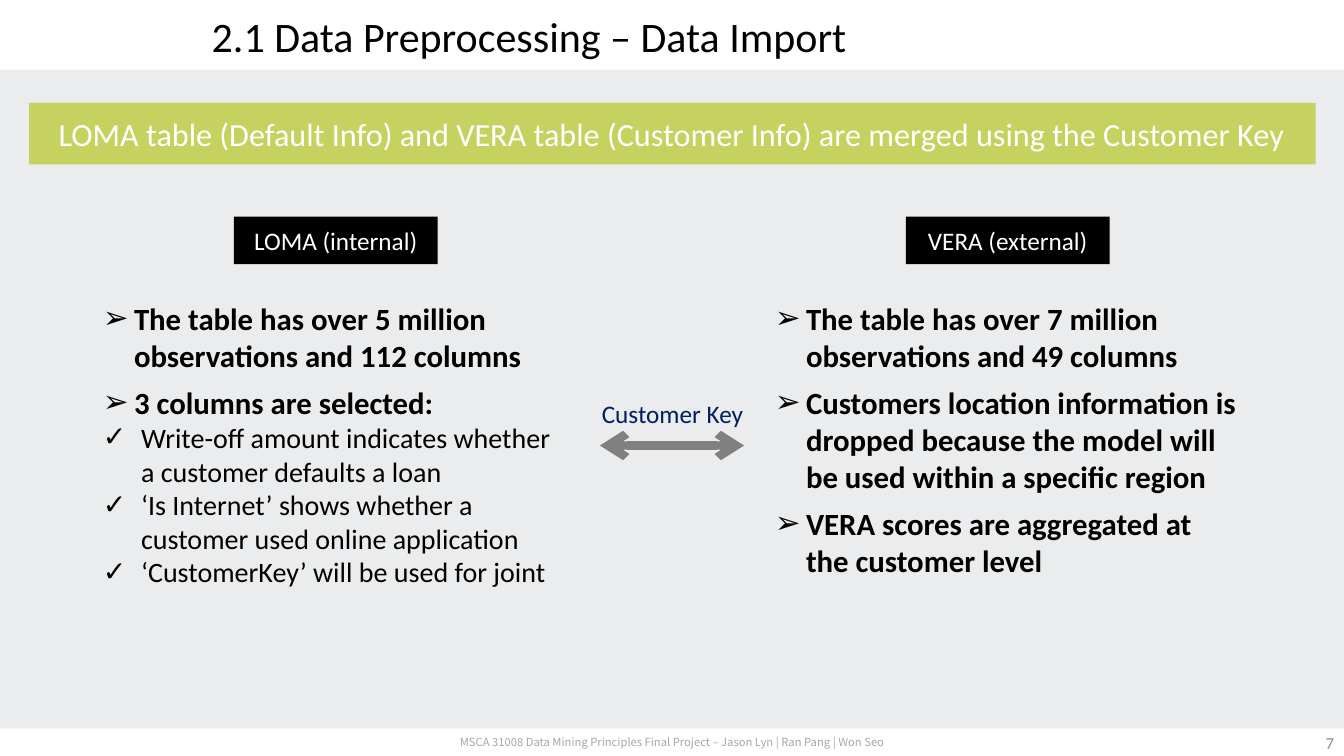
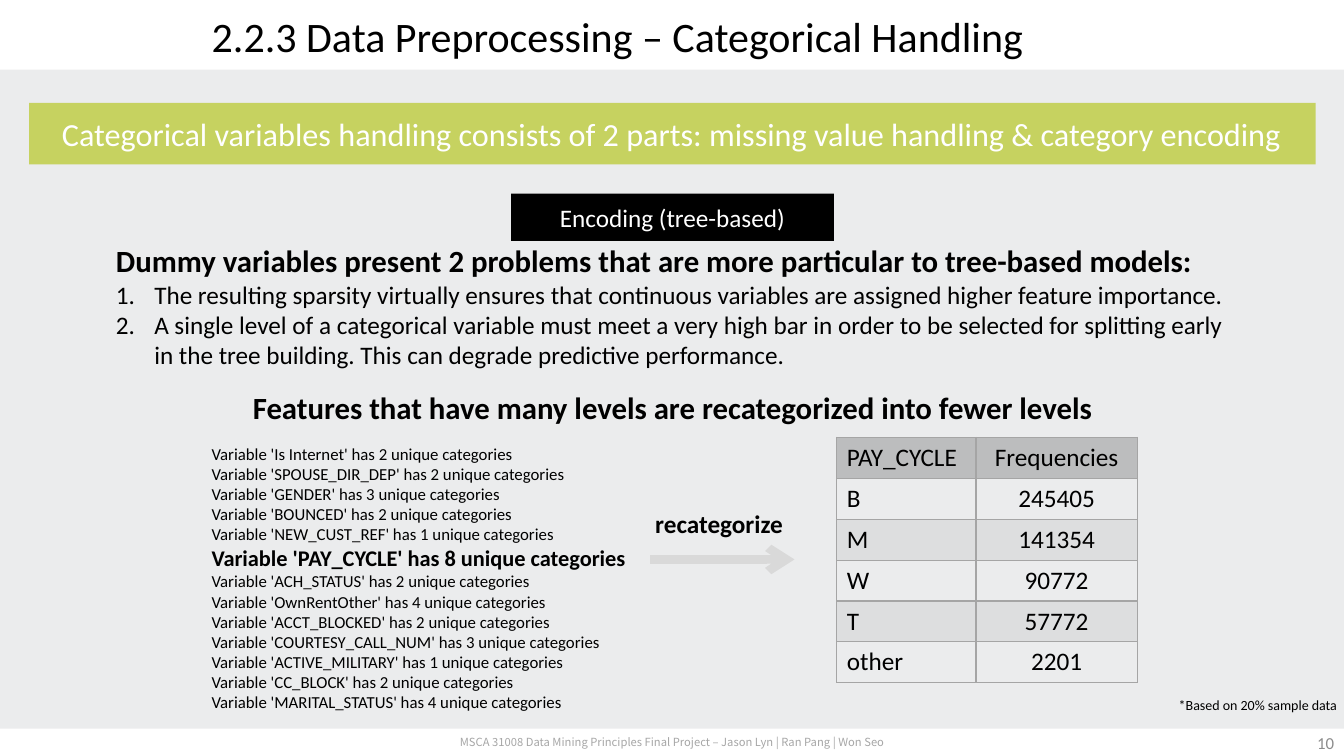
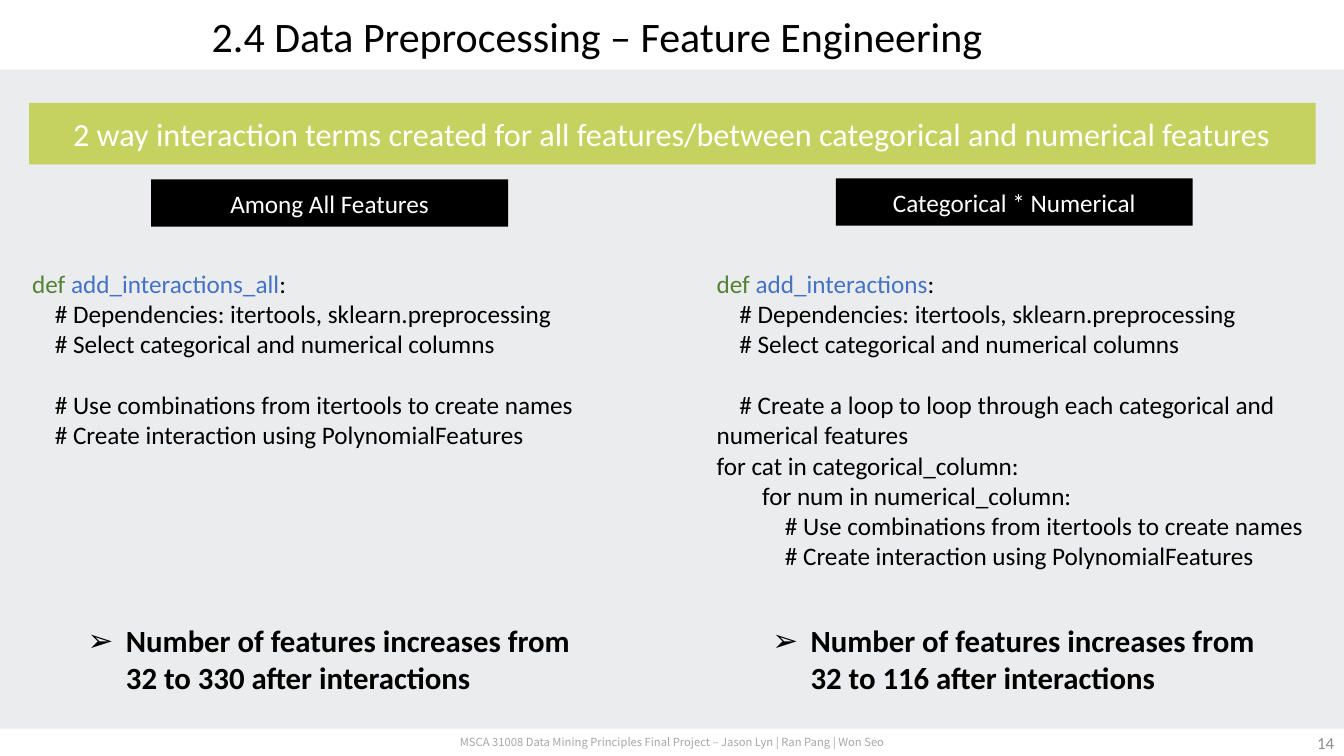
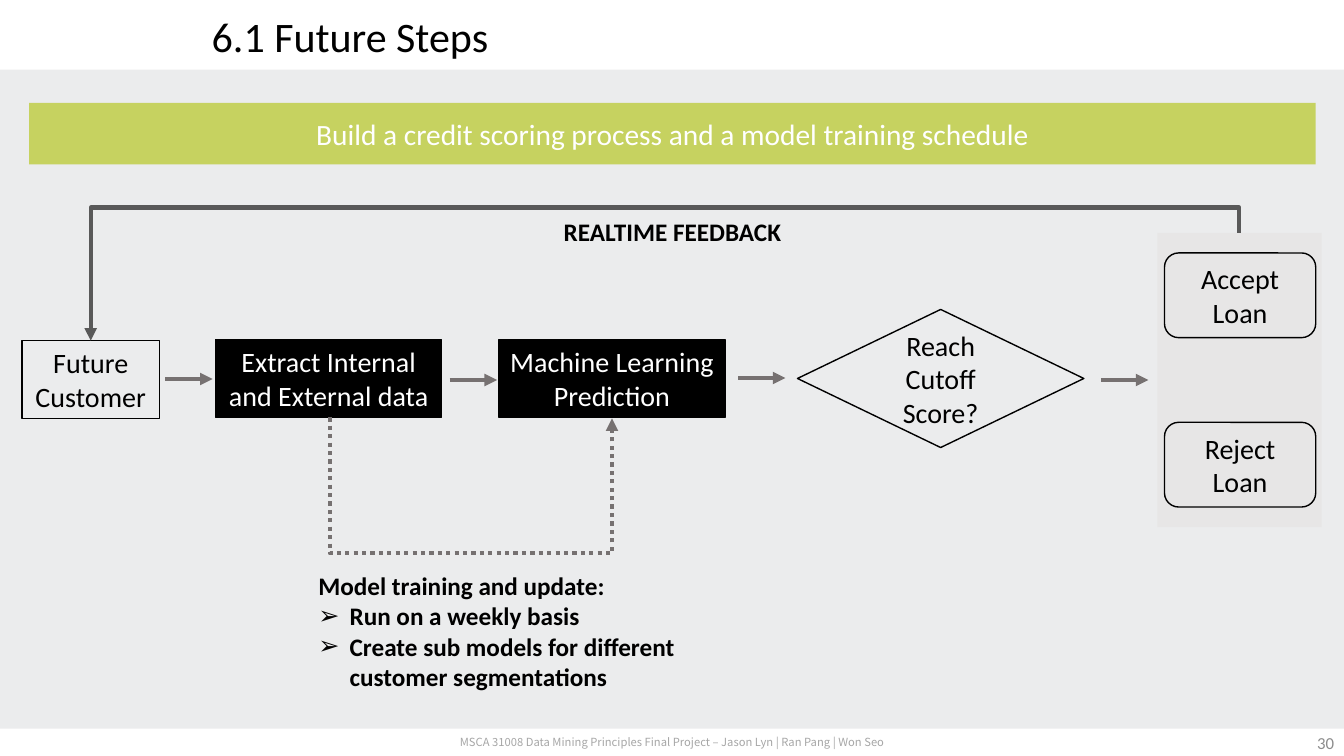
from dataclasses import dataclass

from lxml.etree import SubElement
from pptx import Presentation
from pptx.dml.color import RGBColor
from pptx.enum.shapes import MSO_CONNECTOR as Link, MSO_SHAPE as Form
from pptx.enum.dml import MSO_LINE as Dash
from pptx.enum.text import MSO_ANCHOR as Anchor, MSO_AUTO_SIZE as AutoSize, PP_ALIGN as Align
from pptx.oxml.ns import qn
from pptx.util import Inches, Pt

WIDTH, HEIGHT = 13.33, 7.5
HALF = WIDTH / 2


@dataclass(frozen=True)
class Theme:
    font: str = "Calibri"
    footer_font: str = "Noto Sans CJK SC"
    page: str = "EBECED"
    white: str = "FFFFFF"
    black: str = "000000"
    banner: str = "C6D260"
    panel: str = "E7E6E6"
    navy: str = "002060"
    keyword: str = "548235"
    function: str = "4472C4"
    footer: str = "A6A6A6"
    number: str = "8C8C8C"
    key_arrow: str = "808080"
    pale_arrow: str = "D9D9D9"
    flow_arrow: str = "767171"
    feedback: str = "595959"
    grid: str = "A5A5A5"
    table_head: str = "BCBDBE"
    table_band: str = "DDDEDF"
    title_size: int = 30
    banner_size: int = 23
    head_size: int = 22
    step_size: int = 20
    body_size: int = 18
    strong_size: int = 16
    small_size: int = 12
    note_size: int = 10
    footer_size: int = 8


T = Theme()
TIGHT = (0.07, 0.07)
PLAIN = (0.1, 0.05)


@dataclass
class Para:
    runs: object
    size: int = T.body_size
    bold: bool = False
    color: str = T.black
    align: object = Align.LEFT
    bullet: str = ""
    indent: float = 0
    before: float = 0
    font: str = T.font


def point(words, before=0, size=T.head_size, indent=0.31):
    return Para(words, size, True, bullet="➢", indent=indent, before=before)


def check(words):
    return Para(words, T.step_size, bullet="✓", indent=0.38)


def numbered(words):
    return Para(words, bullet="1.", indent=0.38)


FOOTER = "MSCA 31008 Data Mining Principles Final Project – Jason Lyn | Ran Pang | Won Seo"

SOURCES = [
    ("LOMA (internal)", [
        point("The table has over 5 million observations and 112 columns"),
        point("3 columns are selected:", 7.3),
        check("Write-off amount indicates whether a customer defaults a loan"),
        check("‘Is Internet’ shows whether a customer used online application"),
        check("‘CustomerKey’ will be used for joint")]),
    ("VERA (external)", [
        point("The table has over 7 million observations and 49 columns"),
        point("Customers location information is dropped because the model will "
              "be used within a specific region", 7.3),
        point("VERA scores are aggregated at the customer level", 7.3)]),
]

PROBLEMS = [
    Para("Dummy variables present 2 problems that are more particular to tree-based models:",
         T.head_size, True),
    numbered("The resulting sparsity virtually ensures that continuous variables are "
             "assigned higher feature importance."),
    numbered("A single level of a categorical variable must meet a very high bar in order "
             "to be selected for splitting early in the tree building. "
             "This can degrade predictive performance."),
]
RECATEGORIZED = "PAY_CYCLE"
LEVELS = [("Is Internet", 2), ("SPOUSE_DIR_DEP", 2), ("GENDER", 3), ("BOUNCED", 2),
          ("NEW_CUST_REF", 1), (RECATEGORIZED, 8), ("ACH_STATUS", 2), ("OwnRentOther", 4),
          ("ACCT_BLOCKED", 2), ("COURTESY_CALL_NUM", 3), ("ACTIVE_MILITARY", 1),
          ("CC_BLOCK", 2), ("MARITAL_STATUS", 4)]
FREQUENCIES = [("PAY_CYCLE", "Frequencies"), ("B", "245405"), ("M", "141354"),
               ("W", "90772"), ("T", "57772"), ("other", "2201")]

SETUP = ["    # Dependencies: itertools, sklearn.preprocessing",
         "    # Select categorical and numerical columns"]
INTERACTIONS = [
    ("Among All Features", "add_interactions_all", 330, [
        "    # Use combinations from itertools to create names",
        "    # Create interaction using PolynomialFeatures"]),
    ("Categorical * Numerical", "add_interactions", 116, [
        "    # Create a loop to loop through each categorical and numerical features",
        "for cat in categorical_column:",
        "        for num in numerical_column:",
        "            # Use combinations from itertools to create names",
        "            # Create interaction using PolynomialFeatures"]),
]

STEPS = [
    ("Future Customer", Form.RECTANGLE, (0.22, 3.38, 1.36, 0.77), None),
    ("Extract Internal and External data", Form.RECTANGLE, (2.14, 3.37, 2.24, 0.77), T.black),
    ("Machine Learning Prediction", Form.RECTANGLE, (4.95, 3.37, 2.24, 0.77), T.black),
    ("Reach Cutoff Score?", Form.DIAMOND, (7.91, 3.07, 2.84, 1.37), None),
]
OUTCOMES = ["Accept", "Reject"]
FLOW_ARROWS = [(1.64, 3.76), (4.46, 3.77), (7.32, 3.75), (10.92, 3.77)]
TRAINING = [
    Para("Model training and update:", bold=True),
    point("Run on a weekly basis", size=T.body_size),
    point("Create sub models for different customer segmentations", size=T.body_size),
]


def rgb(color):
    return RGBColor.from_string(color)


def box(at):
    return [Inches(length) for length in at]


def add_bullet(paragraph, para):
    props = paragraph._p.get_or_add_pPr()
    props.set("marL", str(Inches(para.indent)))
    props.set("indent", str(-Inches(para.indent)))
    if para.bullet == "1.":
        SubElement(props, qn("a:buAutoNum"), type="arabicPeriod")
    else:
        SubElement(props, qn("a:buFont"), typeface="Arial")
        SubElement(props, qn("a:buChar"), char=para.bullet)


def write(frame, paras, inset=PLAIN, anchor=Anchor.TOP, wrap=True):
    frame.word_wrap = wrap
    frame.auto_size = AutoSize.NONE
    frame.vertical_anchor = anchor
    frame.margin_left = frame.margin_right = Inches(inset[0])
    frame.margin_top = frame.margin_bottom = Inches(inset[1])
    for index, para in enumerate(paras):
        paragraph = frame.add_paragraph() if index else frame.paragraphs[0]
        paragraph.alignment = para.align
        if para.bullet:
            add_bullet(paragraph, para)
        if para.before:
            paragraph.space_before = Pt(para.before)
        font = paragraph.font
        font.name, font.size, font.bold = para.font, Pt(para.size), para.bold
        font.color.rgb = rgb(para.color)
        runs = [(para.runs, None)] if isinstance(para.runs, str) else para.runs
        for words, color in runs:
            run = paragraph.add_run()
            run.text = words
            if color:
                run.font.color.rgb = rgb(color)


def add_text(slide, at, paras, **options):
    label = slide.shapes.add_textbox(*box(at))
    write(label.text_frame, paras, **options)
    return label


def add_block(slide, at, fill=None, line=None, paras=(), form=Form.RECTANGLE, inset=PLAIN):
    block = slide.shapes.add_shape(form, *box(at))
    block.shadow.inherit = False
    if fill:
        block.fill.solid()
        block.fill.fore_color.rgb = rgb(fill)
    else:
        block.fill.background()
    if line:
        block.line.color.rgb = rgb(line)
        block.line.width = Pt(1)
    else:
        block.line.fill.background()
    write(block.text_frame, paras, inset, Anchor.MIDDLE)
    return block


def add_tag(slide, at, words):
    tag = Para(words, color=T.white, align=Align.CENTER)
    add_block(slide, at, T.black, paras=[tag], inset=(0, 0))


def style_line(link, color, width, head=None, tail=None, dash=None):
    link.line.color.rgb = rgb(color)
    link.line.width = Pt(width)
    if dash:
        link.line.dash_style = dash
    outline = link.line._get_or_add_ln()
    for end, kind in (("a:headEnd", head), ("a:tailEnd", tail)):
        if kind:
            SubElement(outline, qn(end), type=kind)
    SubElement(link.element.spPr, qn("a:effectLst"))


def add_arrow(slide, start, length, color, width, **ends):
    x, y = start
    link = slide.shapes.add_connector(Link.STRAIGHT, *box((x, y, x + length, y)))
    style_line(link, color, width, **ends)


def add_detour(slide, start, end, via, color, dash=None):
    (x1, y1), (x2, y2) = start, end
    rise, run = y2 - y1, abs(x2 - x1)
    left, top = (x1 + x2 - rise) / 2, (y1 + y2 - run) / 2
    link = slide.shapes.add_connector(Link.ELBOW, *box((left, top, left + rise, top + run)))
    frame = link.element.spPr.find(qn("a:xfrm"))
    frame.set("rot", str(270 * 60000))
    frame.set("flipH", "1")
    if x2 < x1:
        frame.set("flipV", "1")
    guides = link.element.spPr.find(qn("a:prstGeom")).find(qn("a:avLst"))
    share = round((via - y1) / rise * 100000)
    SubElement(guides, qn("a:gd"), name="adj1", fmla=f"val {share}")
    style_line(link, color, 3, tail="triangle", dash=dash)


def dress_layout(layout, slide):
    for holder in list(layout.placeholders)[1:]:
        holder.element.getparent().remove(holder.element)
    line = Para(FOOTER, T.footer_size, color=T.footer, align=Align.CENTER, font=T.footer_font)
    shared = [add_block(slide, (0, 0, WIDTH, 0.69), T.white),
              add_block(slide, (0, 7.23, WIDTH, 0.27), T.white),
              add_text(slide, (3.42, 7.23, 6.5, 0.27), [line],
                       inset=TIGHT, anchor=Anchor.MIDDLE)]
    for part in shared:
        layout.shapes.element.append(part.element)


def start_slide(deck, title, banner, number, banner_size=T.banner_size):
    layout = deck.slide_layouts[5]
    slide = deck.slides.add_slide(layout)
    if len(deck.slides) == 1:
        dress_layout(layout, slide)
    heading = slide.shapes.title
    heading.left, heading.top, heading.width, heading.height = box((0, 0, WIDTH, 0.7))
    write(heading.text_frame, [Para(title, T.title_size)], anchor=Anchor.MIDDLE)
    heading.text_frame.margin_left = Inches(2.1)
    message = Para(banner, banner_size, color=T.white, align=Align.CENTER)
    add_block(slide, (0.29, 1.02, 12.76, 0.61), T.banner, paras=[message])
    page = Para(number, T.small_size, color=T.number, align=Align.RIGHT)
    add_text(slide, (WIDTH - 3, 7.17, 3, 0.4), [page], anchor=Anchor.MIDDLE)
    return slide


def build_import(deck):
    slide = start_slide(
        deck, "2.1 Data Preprocessing – Data Import",
        "LOMA table (Default Info) and VERA table (Customer Info) are merged "
        "using the Customer Key", "7")
    for column, (name, facts) in enumerate(SOURCES):
        left = column * HALF
        add_tag(slide, (left + 2.32, 2.15, 2.02, 0.47), name)
        add_text(slide, (left + 0.95, 2.9, 4.76, 3.03), facts, inset=TIGHT)
    add_arrow(slide, (5.95, 4.42), 1.43, T.key_arrow, 6, head="arrow", tail="arrow")
    key = Para("Customer Key", color=T.navy, align=Align.CENTER)
    add_text(slide, (5.83, 3.9, 1.68, 0.4), [key], wrap=False)


def add_borders(cell):
    props = cell._tc.get_or_add_tcPr()
    for side in ("a:lnL", "a:lnR", "a:lnT", "a:lnB"):
        edge = SubElement(props, qn(side), w=str(Pt(1)))
        SubElement(SubElement(edge, qn("a:solidFill")), qn("a:srgbClr"), val=T.grid)


def add_frequencies(slide):
    rows, widths = len(FREQUENCIES), (1.38, 1.6)
    table = slide.shapes.add_table(
        rows, len(widths), *box((8.3, 4.34, sum(widths), 0.405 * rows))).table
    table.first_row = table.horz_banding = False
    for column, width in zip(table.columns, widths):
        column.width = Inches(width)
    for r, record in enumerate(FREQUENCIES):
        for c, value in enumerate(record):
            cell = table.cell(r, c)
            add_borders(cell)
            if r % 2:
                cell.fill.background()
            else:
                cell.fill.solid()
                cell.fill.fore_color.rgb = rgb(T.table_band if r else T.table_head)
            write(cell.text_frame, [Para(value, align=Align.CENTER if c else Align.LEFT)])


def build_categories(deck):
    slide = start_slide(
        deck, "2.2.3 Data Preprocessing – Categorical Handling",
        "Categorical variables handling consists of 2 parts: missing value handling "
        "& category encoding", "10")
    add_tag(slide, (5.07, 1.92, 3.2, 0.47), "Encoding (tree-based)")
    add_text(slide, (1.08, 2.33, 11.18, 1.41), PROBLEMS, inset=TIGHT)
    summary = Para("Features that have many levels are recategorized into fewer levels",
                   T.head_size, True, align=Align.CENTER)
    add_text(slide, (1.87, 3.79, 9.6, 0.5), [summary], inset=TIGHT)
    variables = []
    for name, count in LEVELS:
        chosen = name == RECATEGORIZED
        variables.append(Para(f"Variable '{name}' has {count} unique categories",
                              T.strong_size if chosen else T.small_size, chosen))
    add_text(slide, (2, 4.35, 4.45, 2.79), variables)
    add_arrow(slide, (6.45, 5.55), 1.43, T.pale_arrow, 6, tail="arrow")
    add_frequencies(slide)
    add_text(slide, (6.4, 4.99, 1.48, 0.4), [Para("recategorize", bold=True)], wrap=False)
    note = Para("*Based on 20% sample data", T.note_size, align=Align.RIGHT)
    add_text(slide, (0, 6.84, WIDTH, 0.3), [note], inset=TIGHT)


def build_features(deck):
    slide = start_slide(
        deck, "2.4 Data Preprocessing – Feature Engineering",
        "2 way interaction terms created for all features/between categorical "
        "and numerical features", "14")
    for column, (name, function, total, steps) in enumerate(INTERACTIONS):
        left = column * 6.79
        add_tag(slide, (left + 1.5, 1.78 - column * 0.01, 3.54, 0.47), name)
        signature = [("def ", T.keyword), (function, T.function), (":", None)]
        code = [Para(line) for line in [signature, *SETUP, *steps]]
        code[1 + len(SETUP)].before = 22
        add_text(slide, (left + 0.22, 2.61, 6.1, 3.13), code)
        result = point(f"Number of features increases from 32 to {total} after interactions",
                       indent=0.38)
        add_text(slide, (left + 0.8, 6.1, 4.94, 0.88), [result], inset=TIGHT)


def build_future(deck):
    slide = start_slide(deck, "6.1 Future Steps",
                        "Build a credit scoring process and a model training schedule",
                        "30", banner_size=21)
    add_block(slide, (11.48, 2.31, 1.63, 2.92), T.panel)
    for words, form, at, fill in STEPS:
        step = Para(words, T.step_size, color=T.white if fill else T.black, align=Align.CENTER)
        add_block(slide, at, fill, T.black, [step], form)
    for row, verdict in enumerate(OUTCOMES):
        lines = [Para(word, T.step_size, align=Align.CENTER) for word in (verdict, "Loan")]
        add_block(slide, (11.55, 2.51 + row * 1.68, 1.5, 0.84), None, T.black, lines,
                  Form.ROUNDED_RECTANGLE)
    for start in FLOW_ARROWS:
        add_arrow(slide, start, 0.47, T.flow_arrow, 3, tail="triangle")
    add_detour(slide, (3.27, 4.14), (6.07, 4.15), 5.51, T.flow_arrow, Dash.ROUND_DOT)
    add_detour(slide, (12.29, 2.31), (0.9, 3.38), 2.06, T.feedback)
    add_text(slide, (3.06, 5.61, 3.74, 1.31), TRAINING)
    feedback = Para("REALTIME FEEDBACK", bold=True, align=Align.CENTER)
    add_text(slide, (5.09, 2.1, 3.16, 0.4), [feedback])


def main():
    deck = Presentation()
    deck.slide_width, deck.slide_height = Inches(WIDTH), Inches(HEIGHT)
    backdrop = deck.slide_master.background.fill
    backdrop.solid()
    backdrop.fore_color.rgb = rgb(T.page)
    for build in (build_import, build_categories, build_features, build_future):
        build(deck)
    deck.save("out.pptx")


if __name__ == "__main__":
    main()
